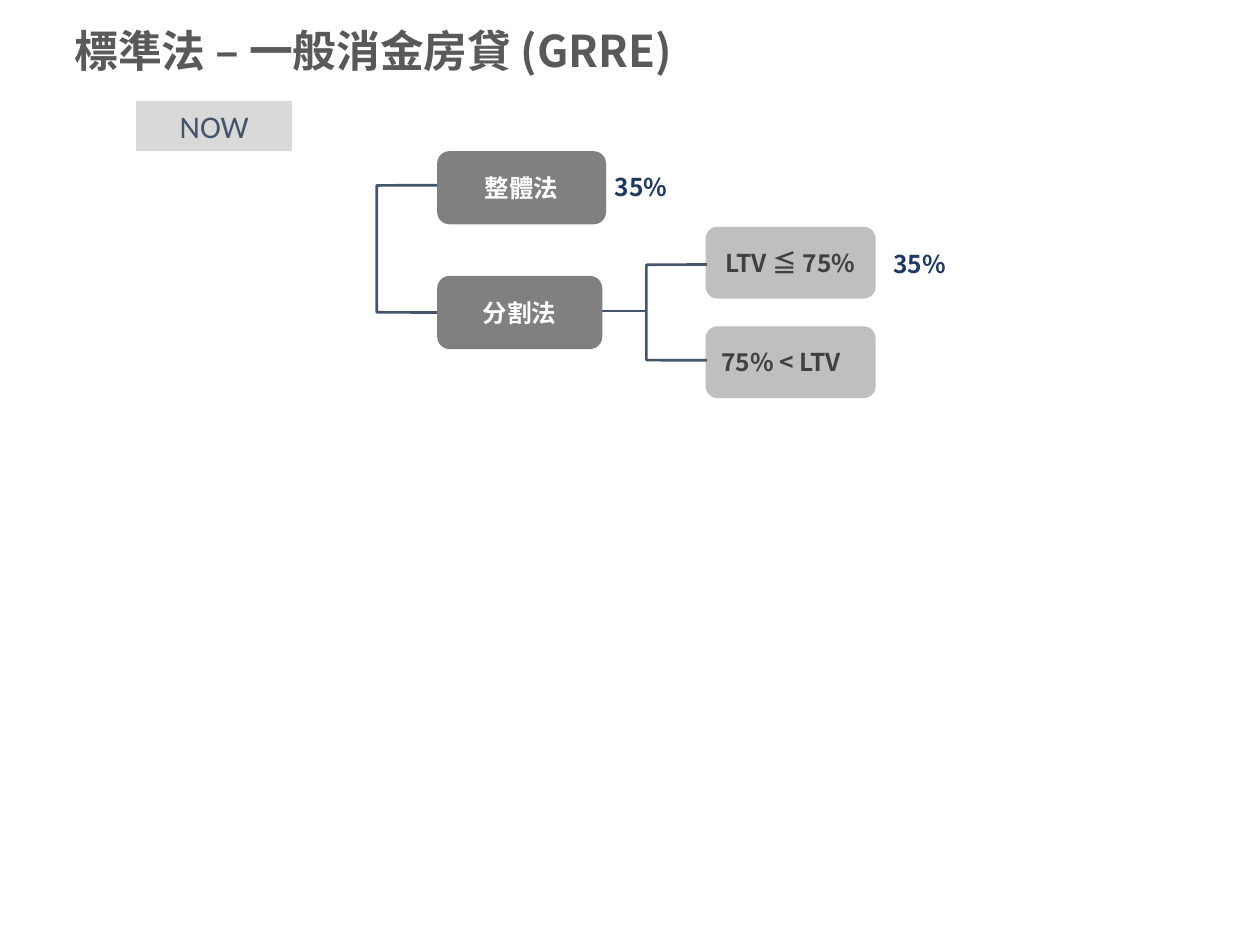
from dataclasses import dataclass

from lxml import etree
from pptx import Presentation
from pptx.dml.color import RGBColor
from pptx.enum.shapes import MSO_CONNECTOR, MSO_SHAPE
from pptx.enum.text import MSO_ANCHOR, MSO_AUTO_SIZE, PP_ALIGN
from pptx.oxml.ns import qn
from pptx.util import Inches, Pt

RECT, ROUND = MSO_SHAPE.RECTANGLE, MSO_SHAPE.ROUNDED_RECTANGLE
BRACKET = MSO_SHAPE.LEFT_BRACKET
STRAIGHT = MSO_CONNECTOR.STRAIGHT
LEFT, CENTER = PP_ALIGN.LEFT, PP_ALIGN.CENTER
TOP, MIDDLE = MSO_ANCHOR.TOP, MSO_ANCHOR.MIDDLE
FIXED = MSO_AUTO_SIZE.NONE


@dataclass(frozen=True)
class Theme:
    """Colours, fonts and type sizes."""
    title: str = "595959"
    pale: str = "D9D9D9"
    dark: str = "808080"
    mid: str = "BFBFBF"
    ink: str = "404040"
    white: str = "FFFFFF"
    line: str = "44546A"
    rate: str = "203864"
    head: str = "Noto Sans CJK TC"
    plain: str = "Calibri"
    large: int = 25
    tag: int = 18
    small: int = 14
    stroke: float = 1.5


class Deck:
    """Holds the theme and the current slide."""

    def __init__(self, theme):
        """Start a slide that has a title."""
        self.theme = theme
        self.show = Presentation()
        self.show.slide_width, self.show.slide_height = Inches(10), Inches(7.5)
        self.slide = self.show.slides.add_slide(self.show.slide_layouts[5])

    def fill_text(self, shape, text, size, color, align=LEFT, anchor=TOP, bold=True, font=None):
        """Put one styled line of text into a shape."""
        font = font or self.theme.head
        frame = shape.text_frame
        form = {"word_wrap": True, "auto_size": FIXED, "vertical_anchor": anchor}
        for key, value in form.items():
            setattr(frame, key, value)
        para = frame.paragraphs[0]
        para.alignment = align
        run = para.add_run()
        run.text = text
        for key, value in {"name": font, "size": Pt(size), "bold": bold}.items():
            setattr(run.font, key, value)
        run.font.color.rgb = RGBColor.from_string(color)
        east = etree.Element(qn("a:ea"), typeface=font)
        run.font._element.find(qn("a:latin")).addnext(east)

    def title(self, text, *area):
        """Place and fill the title."""
        shape = self.slide.shapes.title
        for key, value in zip(("left", "top", "width", "height"), area):
            setattr(shape, key, Inches(value))
        self.fill_text(shape, text, self.theme.large, self.theme.title)

    def box(self, kind, area, fill, text, size, color, **form):
        """Draw a filled box with text."""
        shape = self.slide.shapes.add_shape(kind, *map(Inches, area))
        shape.shadow.inherit = False
        shape.fill.solid()
        shape.fill.fore_color.rgb = RGBColor.from_string(fill)
        shape.line.fill.background()
        self.fill_text(shape, text, size, color, **form)

    def label(self, text, *area):
        """Add a risk weight."""
        shape = self.slide.shapes.add_textbox(*map(Inches, area))
        self.fill_text(shape, text, self.theme.small, self.theme.rate)

    def stroke(self, shape):
        """Apply the line style."""
        shape.line.color.rgb = RGBColor.from_string(self.theme.line)
        shape.line.width = Pt(self.theme.stroke)

    def fork(self, *area):
        """Draw a square bracket that joins two branches."""
        shape = self.slide.shapes.add_shape(BRACKET, *map(Inches, area))
        shape.shadow.inherit = False
        shape.adjustments[0] = 0.005
        shape.fill.background()
        self.stroke(shape)

    def link(self, *ends):
        """Draw a straight line."""
        shape = self.slide.shapes.add_connector(STRAIGHT, *map(Inches, ends))
        self.stroke(shape)
        etree.SubElement(shape._element.spPr, qn("a:effectLst"))


def main():
    """Build the decision tree."""
    look = Theme()
    deck = Deck(look)
    deck.title("標準法 – 一般消金房貸 (GRRE)", 0.49, 0.14, 8.89, 0.52)
    deck.box(RECT, (1.08, 0.8, 1.24, 0.4), look.pale, "NOW", look.tag, look.line,
             align=CENTER, bold=False, font=look.plain)

    root, leaf = 3.47, 5.6
    nodes = (
        ("整體法", root, 1.2, 1.34, 0.58, look.dark, look.white, CENTER),
        ("分割法", root, 2.19, 1.31, 0.58, look.dark, look.white, CENTER),
        ("LTV ≦ 75%", leaf, 1.8, 1.35, 0.57, look.mid, look.ink, CENTER),
        ("75% < LTV", leaf, 2.59, 1.35, 0.57, look.mid, look.ink, LEFT),
    )
    for text, left, top, wide, high, fill, color, align in nodes:
        deck.box(ROUND, (left, top, wide, high), fill, text, look.small, color,
                 align=align, anchor=MIDDLE)

    for left, top, high in ((2.99, 1.47, 1.01), (5.13, 2.1, 0.76)):
        deck.fork(left, top, 0.48, high)
    deck.link(4.78, 2.47, 5.13, 2.47)
    for left, top in ((4.78, 1.32), (6.99, 1.93)):
        deck.label("35%", left, top, 0.82, 0.34)
    deck.show.save("out.pptx")


main()
